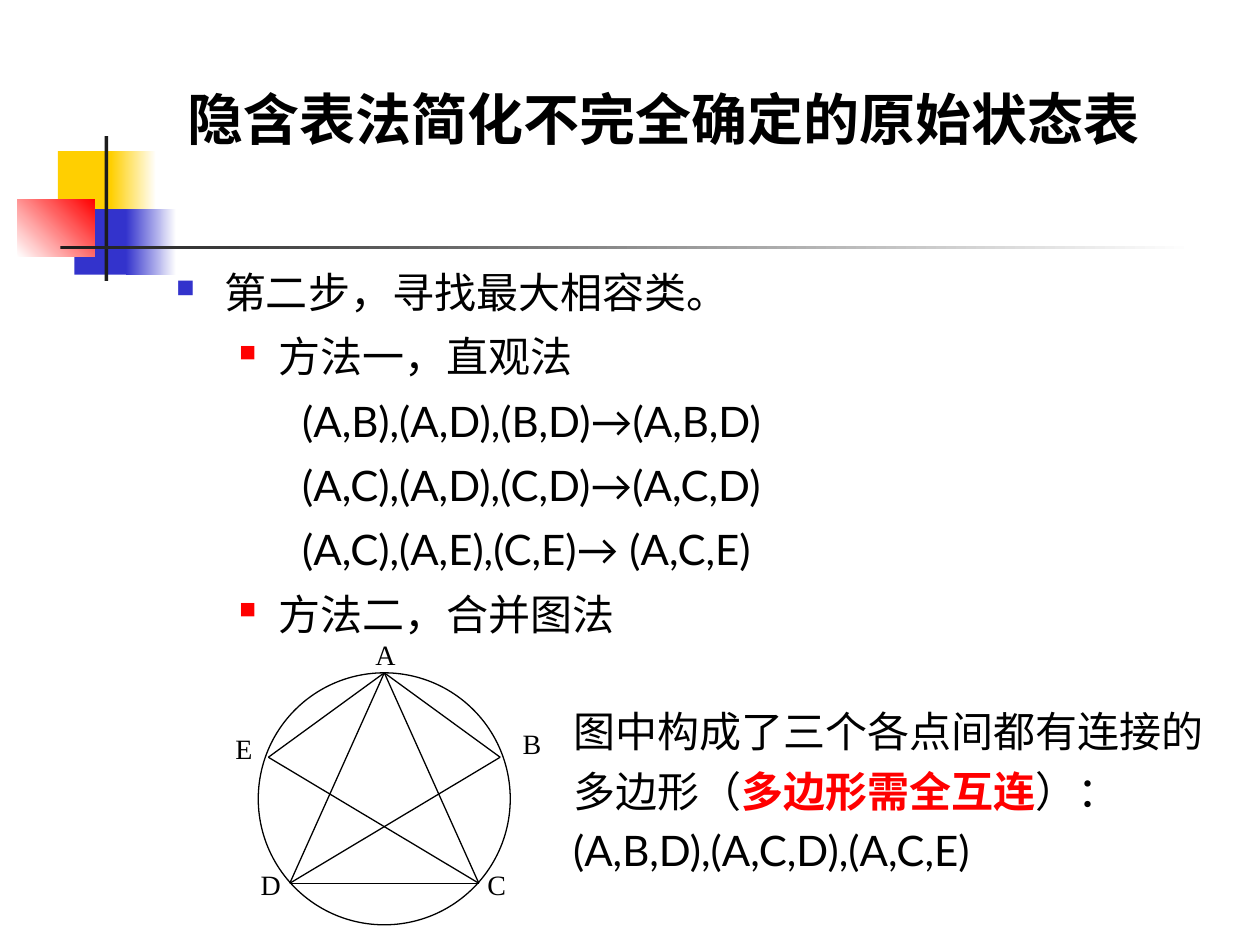
from dataclasses import dataclass
from typing import Optional

from lxml import etree
from pptx import Presentation
from pptx.dml.color import RGBColor
from pptx.enum import shapes, text
from pptx.oxml import ns
from pptx.util import Inches, Pt

BLACK, WHITE, RED, BLUE, GOLD = "000000", "FFFFFF", "FF0000", "3333CC", "FFCF01"
DARK = "1C1C1C"
SANS, SERIF = "Lato", "Times New Roman"


@dataclass
class Block:
    left: float
    top: float
    width: float
    height: float
    color: str
    end: Optional[str] = None  # second gradient colour
    angle: float = 0


@dataclass
class Level:
    margin: float
    hanging: float
    bullet_color: Optional[str] = None
    bullet_size: int = 100


@dataclass
class Node:
    x: float
    y: float
    label_left: float
    label_top: float


def rgb(hex_color: str) -> RGBColor:
    return RGBColor.from_string(hex_color)


def draw_block(s, b: Block) -> None:
    sp = s.shapes.add_shape(shapes.MSO_SHAPE.RECTANGLE, Inches(b.left),
                            Inches(b.top), Inches(b.width), Inches(b.height))
    sp.shadow.inherit = False
    sp.line.fill.background()
    if b.end is None:
        sp.fill.solid()
        sp.fill.fore_color.rgb = rgb(b.color)
        return
    sp.fill.gradient()
    sp.fill.gradient_angle = b.angle
    for stop, color in zip(sp.fill.gradient_stops, (b.color, b.end)):
        stop.color.rgb = rgb(color)


def add_frame(s, left: float, top: float, width: float, height: float, **frame):
    box = s.shapes.add_textbox(Inches(left), Inches(top), Inches(width), Inches(height))
    for name, value in {"word_wrap": True, **frame}.items():
        setattr(box.text_frame, name, value)
    return box.text_frame


def add_run(p, words: str, color: str = BLACK, **font) -> None:
    r = p.add_run()
    r.text = words
    r.font.color.rgb = rgb(color)
    for name, value in font.items():
        setattr(r.font, name, value)


def next_paragraph(tf, index: int, **spacing):
    p = tf.add_paragraph() if index else tf.paragraphs[0]
    for name, value in spacing.items():
        setattr(p, name, value)
    return p


def set_level(p, level: Level) -> None:
    pPr = p._p.get_or_add_pPr()
    pPr.set("marL", str(Inches(level.margin)))
    pPr.set("indent", str(-Inches(level.hanging)))
    if level.bullet_color:
        color = etree.SubElement(pPr, ns.qn("a:buClr"))
        etree.SubElement(color, ns.qn("a:srgbClr"), val=level.bullet_color)
        etree.SubElement(pPr, ns.qn("a:buSzPct"), val=str(level.bullet_size * 1000))
        etree.SubElement(pPr, ns.qn("a:buChar"), char="■")


def draw_edge(s, a: Node, b: Node) -> None:
    line = s.shapes.add_connector(shapes.MSO_CONNECTOR.STRAIGHT, Inches(a.x),
                                  Inches(a.y), Inches(b.x), Inches(b.y))
    line.line.color.rgb = rgb(BLACK)
    line.line.width = Pt(0.75)
    etree.SubElement(line._element.spPr, ns.qn("a:effectLst"))


DECORATION = [
    Block(0.46, 1.2, 0.48, 0.52, GOLD),
    Block(0.88, 1.2, 0.36, 0.52, GOLD, WHITE),
    Block(0.59, 1.66, 0.46, 0.52, BLUE),
    Block(1, 1.66, 0.4, 0.52, BLUE, WHITE),
    Block(0.14, 1.58, 0.61, 0.46, WHITE, RED, 45),
    Block(0.83, 1.08, 0.03, 1.15, DARK),
    Block(0.48, 1.95, 9, 0.03, DARK, WHITE),
]
STEP = Level(0.38, 0.38, BLUE, 60)
METHOD = Level(0.81, 0.31, RED, 55)
DETAIL = Level(1.25, 0.25)
OUTLINE = [
    (STEP, "第二步，寻找最大相容类。"),
    (METHOD, "方法一，直观法"),
    (DETAIL, "(A,B),(A,D),(B,D)→(A,B,D)"),
    (DETAIL, "(A,C),(A,D),(C,D)→(A,C,D)"),
    (DETAIL, "(A,C),(A,E),(C,E)→ (A,C,E)"),
    (METHOD, "方法二，合并图法"),
]
NODES = {
    "A": Node(3.05, 5.34, 2.88, 5.01),
    "B": Node(3.97, 6.01, 4.05, 5.72),
    "C": Node(3.8, 7.01, 3.77, 6.84),
    "D": Node(2.3, 7.01, 1.97, 6.84),
    "E": Node(2.13, 6.01, 1.77, 5.76),
}
COMPATIBLE_PAIRS = ["AB", "AE", "AD", "AC", "DC", "BD", "EC"]
CONCLUSION = [
    [("图中构成了三个各点间都有连接的多边形（", {"name": SERIF}),
     ("多边形需全互连", {"name": SERIF, "color": RED, "bold": True}),
     ("）：", {"name": SERIF})],
    [("(A,B,D),(A,C,D),(A,C,E)", {"name": SANS})],
]


def main() -> None:
    prs = Presentation()
    prs.slide_width, prs.slide_height = Inches(10), Inches(7.5)
    s = prs.slides.add_slide(prs.slide_layouts[6])

    # Corner decoration and rule
    for block in DECORATION:
        draw_block(s, block)

    # Title
    tf = add_frame(s, 1.39, 0.58, 8.52, 0.67, vertical_anchor=text.MSO_ANCHOR.BOTTOM)
    add_run(tf.paragraphs[0], "隐含表法简化不完全确定的原始状态表",
            name=SANS, size=Pt(32), bold=True)

    # Outline
    tf = add_frame(s, 1.3, 2.02, 8.5, 4.5)
    for i, (level, words) in enumerate(OUTLINE):
        p = next_paragraph(tf, i, line_spacing=Pt(32), space_before=Pt(4.8))
        set_level(p, level)
        add_run(p, words, name=SANS, size=Pt(24))

    # Merger diagram
    circle = s.shapes.add_shape(shapes.MSO_SHAPE.OVAL, Inches(2.05), Inches(5.34),
                                Inches(2), Inches(2))
    circle.shadow.inherit = False
    circle.fill.background()
    circle.line.color.rgb = rgb(BLACK)
    circle.line.width = Pt(0.75)
    for start, end in COMPATIBLE_PAIRS:
        draw_edge(s, NODES[start], NODES[end])
    for name, node in NODES.items():
        tf = add_frame(s, node.label_left, node.label_top, 0.35, 0.37, word_wrap=False)
        add_run(tf.paragraphs[0], name, name=SERIF, size=Pt(16))

    # Conclusion
    tf = add_frame(s, 4.45, 5.48, 5.2, 1.53)
    for i, runs in enumerate(CONCLUSION):
        p = next_paragraph(tf, i, line_spacing=Pt(34))
        for words, font in runs:
            add_run(p, words, size=Pt(24), **font)

    prs.save("out.pptx")


if __name__ == "__main__":
    main()
